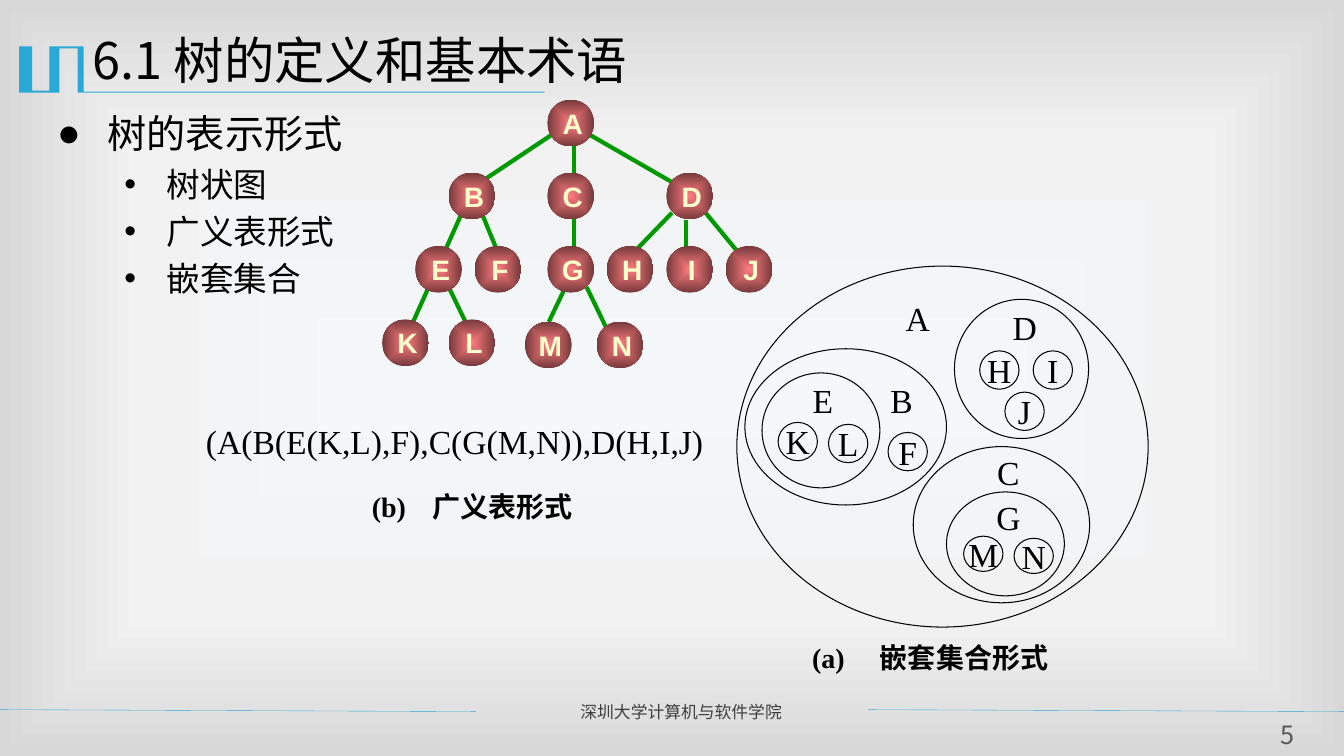
"""Build the slide on tree notations: tree diagram, generalized list and nested sets."""
from dataclasses import dataclass

from lxml.etree import SubElement
from pptx import Presentation
from pptx.dml.color import RGBColor
from pptx.enum.shapes import MSO_CONNECTOR, MSO_SHAPE
from pptx.enum.text import MSO_ANCHOR, PP_ALIGN
from pptx.oxml.ns import qn
from pptx.util import Pt


@dataclass(frozen=True)
class Theme:
    sans: str = "Noto Sans CJK SC"
    serif: str = "Times New Roman"
    node_font: str = "Arial"
    accent: str = "28A9D6"
    ink: str = "000000"
    footer: str = "3F3F3F"
    number: str = "595959"
    branch: str = "009900"
    node_text: str = "FFFFCC"
    node_stops: tuple = ((0, "FF7C80"), (100, "76393B"))
    backdrop_stops: tuple = ((0, "F4F8FB"), (63, "F2F2F2"), (100, "D8D8D8"))
    title_size: int = 36
    topic_size: int = 28
    body_size: int = 24
    caption_size: int = 20
    number_size: int = 18
    footer_size: int = 12


theme = Theme()


def add_run(paragraph, text, font, size, color=theme.ink, bold=False):
    run = paragraph.add_run()
    run.text = text
    run.font.size = Pt(size)
    run.font.bold = bold
    run.font.color.rgb = RGBColor.from_string(color)
    run.font.name = font
    SubElement(run.font._element, qn("a:ea"), typeface=font)


def fill_from_centre(fill, owner, stops, outline):
    fill.gradient()
    gradient = next(owner.iter(qn("a:gradFill")))
    for child in list(gradient):
        gradient.remove(child)
    stop_list = SubElement(gradient, qn("a:gsLst"))
    for percent, color in stops:
        stop = SubElement(stop_list, qn("a:gs"), pos=str(percent * 1000))
        SubElement(stop, qn("a:srgbClr"), val=color)
    focus = SubElement(gradient, qn("a:path"), path=outline)
    SubElement(focus, qn("a:fillToRect"), l="50000", t="50000", r="50000", b="50000")


deck = Presentation()
deck.slide_width, deck.slide_height = Pt(960), Pt(540)
slide = deck.slides.add_slide(deck.slide_layouts[6])
shapes = slide.shapes
fill_from_centre(slide.background.fill, slide.element, theme.backdrop_stops, "rect")

ribbon_points = [
    (59, 33.1), (59.8, 33.1), (59.8, 65.5), (388.8, 65.5), (388.8, 66.2),
    (55.4, 66.2), (55.4, 34.6), (42.5, 34.6), (42.5, 66.2), (13.7, 66.2),
    (13.7, 33.1), (23, 33.1), (23, 64.8), (35.3, 64.8), (35.3, 33.1),
]
corners = [(Pt(x), Pt(y)) for x, y in ribbon_points]
outline = shapes.build_freeform(*corners[0])
outline.add_line_segments(corners[1:], close=True)
ribbon = outline.convert_to_shape()
ribbon.shadow.inherit = False
ribbon.fill.solid()
ribbon.fill.fore_color.rgb = RGBColor.from_string(theme.accent)
ribbon.line.fill.background()

footer_rules = [(0, 506.9, 340, 508.3), (620, 506.9, 960, 508.3)]
branches = [
    (419, 95, 485, 133), (396, 95, 339, 133), (410, 99, 410, 205),
    (504, 152, 532, 186), (480, 152, 452, 181), (490, 157, 490, 181),
    (344, 152, 358, 186), (330, 152, 287, 248), (320, 204, 334, 233),
    (403, 207, 392, 230), (419, 205, 433, 234),
]
for segments, color, weight in (
    (footer_rules, theme.accent, 0.25),
    (branches, theme.branch, 3),
):
    for segment in segments:
        stroke = shapes.add_connector(MSO_CONNECTOR.STRAIGHT, *map(Pt, segment))
        stroke.line.color.rgb = RGBColor.from_string(color)
        stroke.line.width = Pt(weight)
        SubElement(stroke.element.spPr, qn("a:effectLst"))

topics = shapes.add_textbox(Pt(33.8), Pt(74.9), Pt(300), Pt(150)).text_frame
topics.word_wrap = True
for index, (text, size, bullet, margin, indent) in enumerate([
    ("树的表示形式", theme.topic_size, "●", 36, -36),
    ("树状图", theme.body_size, "•", 78, -30),
    ("广义表形式", theme.body_size, "•", 78, -30),
    ("嵌套集合", theme.body_size, "•", 78, -30),
]):
    topic = topics.add_paragraph() if index else topics.paragraphs[0]
    properties = topic._p.get_or_add_pPr()
    properties.set("marL", str(Pt(margin)))
    properties.set("indent", str(Pt(indent)))
    SubElement(properties, qn("a:buFont"), typeface=theme.node_font)
    SubElement(properties, qn("a:buChar"), char=bullet)
    topic.space_before = Pt(4.8 if index else 0)
    add_run(topic, text, theme.sans, size)

captions = [
    ((573, 454.3, 200, 30.2), "(a)", "嵌套集合形式", 48.5),
    ((258.5, 346.3, 180, 30.2), "(b)", "广义表形式", 43.5),
]
for box, mark, text, tab in captions:
    frame = shapes.add_textbox(*map(Pt, box)).text_frame
    frame.word_wrap = True
    frame.vertical_anchor = MSO_ANCHOR.MIDDLE
    caption = frame.paragraphs[0]
    tabs = SubElement(caption._p.get_or_add_pPr(), qn("a:tabLst"))
    SubElement(tabs, qn("a:tab"), pos=str(Pt(tab)), algn="l")
    add_run(caption, mark + "\t", theme.serif, theme.caption_size, bold=True)
    add_run(caption, text, theme.sans, theme.caption_size, bold=True)

for box, text, font, size, color, align, anchor in [
    ((59, 17.3, 864, 62.6), "6.1 树的定义和基本术语", theme.sans, theme.title_size,
     theme.ink, PP_ALIGN.LEFT, MSO_ANCHOR.TOP),
    ((140, 298, 380, 33.8), "(A(B(E(K,L),F),C(G(M,N)),D(H,I,J)", theme.serif,
     theme.body_size, theme.ink, PP_ALIGN.LEFT, MSO_ANCHOR.MIDDLE),
    ((407.5, 497.5, 205.2, 21.6), "深圳大学计算机与软件学院", theme.sans, theme.footer_size,
     theme.footer, PP_ALIGN.JUSTIFY, MSO_ANCHOR.TOP),
    ((898.6, 513.4, 42.5, 22.3), "5", theme.sans, theme.number_size,
     theme.number, PP_ALIGN.CENTER, MSO_ANCHOR.MIDDLE),
]:
    frame = shapes.add_textbox(*map(Pt, box)).text_frame
    frame.word_wrap = True
    frame.vertical_anchor = anchor
    line = frame.paragraphs[0]
    line.alignment = align
    add_run(line, text, font, size, color)

node_size = Pt(33.3)
tree_rows = [
    (71.3, {"A": 391}),
    (123.3, {"B": 320.4, "C": 391, "D": 476}),
    (175.7, {"E": 296.6, "F": 339, "G": 391, "H": 433.4, "I": 476, "J": 518.4}),
    (228.2, {"K": 273, "L": 320.4}),
    (229.7, {"M": 375, "N": 426.2}),
]
for top, row in tree_rows:
    for letter, left in row.items():
        node = shapes.add_shape(MSO_SHAPE.OVAL, Pt(left), Pt(top), node_size, node_size)
        node.shadow.inherit = False
        fill_from_centre(node.fill, node.element, theme.node_stops, "shape")
        node.line.fill.background()
        frame = node.text_frame
        frame.word_wrap = False
        frame.margin_left = Pt(3)
        frame.margin_right = frame.margin_top = frame.margin_bottom = 0
        frame.vertical_anchor = MSO_ANCHOR.MIDDLE
        frame.paragraphs[0].alignment = PP_ALIGN.CENTER
        add_run(frame.paragraphs[0], letter, theme.node_font, theme.caption_size,
                theme.node_text, True)

set_rings = [
    (526.3, 190.1, 293.8, 257.8), (532.1, 249.1, 144, 111.6),
    (652.3, 319, 126, 111.6), (681.8, 213.8, 95.8, 99.4),
    (544.3, 266.4, 84.2, 82.1), (676.1, 351.4, 84.2, 74.2),
]
set_labels = [
    ("A", 641.5, 213.8, 27.4), ("B", 630, 272.2, 27.4), ("C", 706.3, 324.7, 25.2),
    ("D", 718, 219.6, 27.4), ("E", 573.8, 272.2, 27.4), ("G", 706.3, 356.4, 25.2),
]
set_leaves = [
    ("H", 699.8, 250.6, 27.4), ("I", 738, 250.6, 27.4), ("J", 717.8, 280.1, 27.4),
    ("F", 634.3, 308.9, 27.4), ("K", 555.8, 301.7, 27.4), ("L", 591.8, 303.1, 27.4),
    ("M", 688.3, 383, 25.2), ("N", 724.3, 384.5, 25.2),
]
circles = [("", ring, True) for ring in set_rings]
for entries, outlined in ((set_labels, False), (set_leaves, True)):
    circles += [(name, (x, y, 28.1, h), outlined) for name, x, y, h in entries]
for letter, box, outlined in circles:
    circle = shapes.add_shape(MSO_SHAPE.OVAL, *map(Pt, box))
    circle.shadow.inherit = False
    circle.fill.background()
    if outlined:
        circle.line.color.rgb = RGBColor.from_string(theme.ink)
        circle.line.width = Pt(0.75)
    else:
        circle.line.fill.background()
    if letter:
        frame = circle.text_frame
        frame.word_wrap = False
        frame.vertical_anchor = MSO_ANCHOR.MIDDLE
        frame.paragraphs[0].alignment = PP_ALIGN.CENTER
        add_run(frame.paragraphs[0], letter, theme.serif, theme.body_size)

deck.save("out.pptx")
